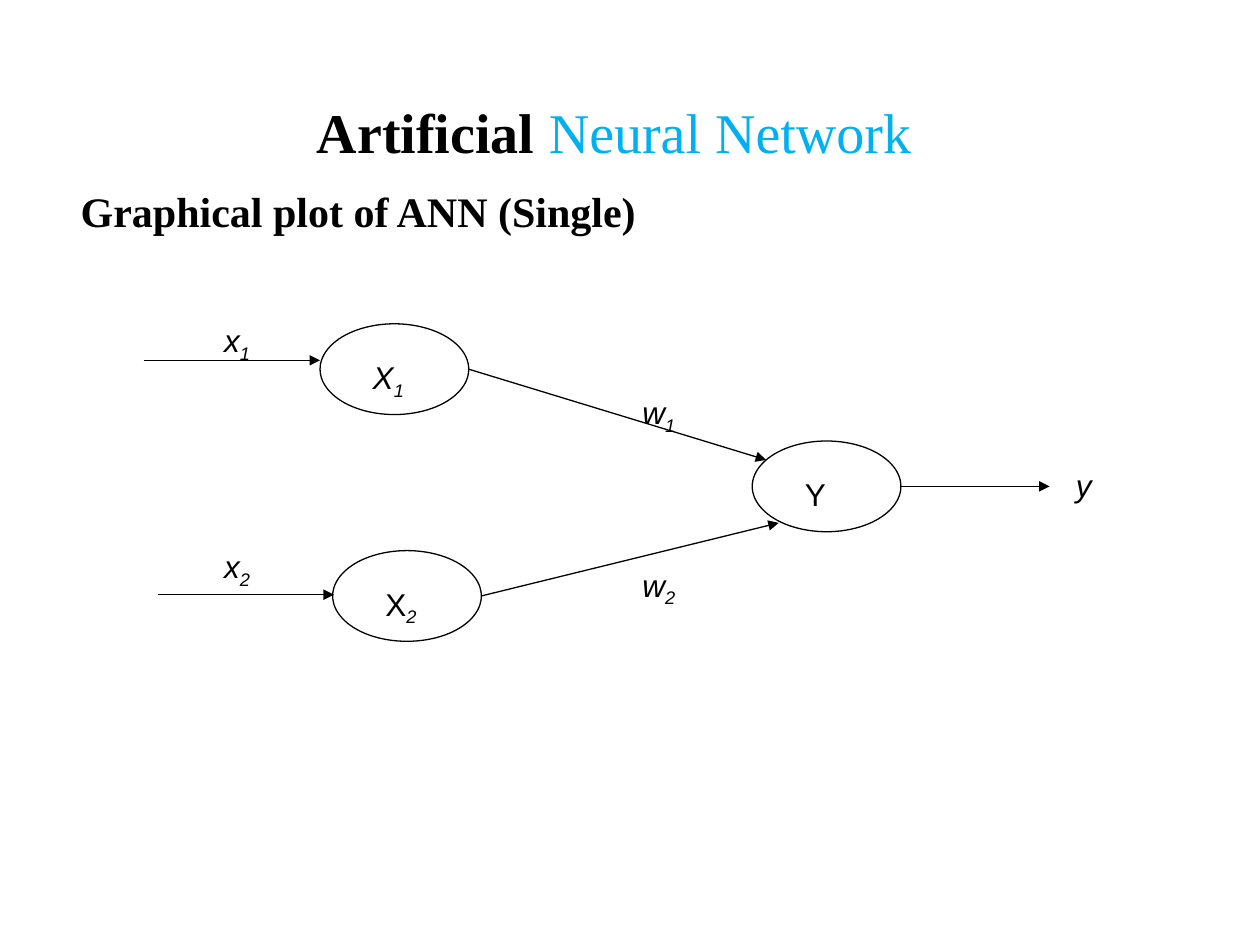
from dataclasses import dataclass

from lxml.etree import SubElement
from pptx import Presentation
from pptx.dml.color import RGBColor
from pptx.enum.shapes import MSO_CONNECTOR as Connector, MSO_SHAPE as Shape
from pptx.enum.text import MSO_ANCHOR as Anchor, PP_ALIGN as Align
from pptx.oxml.ns import qn
from pptx.util import Inches, Pt


@dataclass(frozen=True)
class Theme:
    ink: RGBColor = RGBColor(0, 0, 0)
    accent: RGBColor = RGBColor(0x00, 0xB0, 0xF0)
    heading_font: str = "Times New Roman"
    label_font: str = "Arial"
    title_size: int = 32
    subtitle_size: int = 24
    label_size: int = 18
    line_width: float = 0.75


NODE_WIDTH, NODE_HEIGHT = 11.8, 7.2


class NetworkPage:
    """Places elements on a grid of 100 columns by 75 rows."""

    columns, rows = 100, 75

    def __init__(self, deck, theme):
        self.theme = theme
        self.page = deck.slides.add_slide(deck.slide_layouts[0])
        self.column = deck.slide_width / self.columns
        self.row = deck.slide_height / self.rows

    def grid(self, *lengths):
        """Turn alternating column and row counts into slide lengths."""
        units = (self.column, self.row)
        return [round(length * units[i % 2]) for i, length in enumerate(lengths)]

    def style(self, span, font, size, color=None, bold=False, italic=False):
        span.font.name, span.font.size = font, Pt(size)
        span.font.bold, span.font.italic = bold, italic
        span.font.color.rgb = color or self.theme.ink

    def heading(self, box, area, parts, size, align, anchor):
        """Fill a placeholder with (text, colour, bold) parts."""
        box.left, box.top, box.width, box.height = self.grid(*area)
        box.text_frame.vertical_anchor = anchor
        para = box.text_frame.paragraphs[0]
        para.alignment = align
        for text, color, bold in parts:
            span = para.add_run()
            span.text = text
            self.style(span, self.theme.heading_font, size, color, bold)

    def outline(self, line):
        line.color.rgb = self.theme.ink
        line.width = Pt(self.theme.line_width)

    def node(self, left, top):
        oval = self.page.shapes.add_shape(
            Shape.OVAL, *self.grid(left, top, NODE_WIDTH, NODE_HEIGHT))
        oval.shadow.inherit = False
        oval.fill.background()
        self.outline(oval.line)

    def arrow(self, start, end):
        arrow = self.page.shapes.add_connector(
            Connector.STRAIGHT, *self.grid(*start, *end))
        self.outline(arrow.line)
        SubElement(arrow.line._get_or_add_ln(), qn("a:tailEnd"), type="triangle")
        SubElement(arrow._element.spPr, qn("a:effectLst"))

    def label(self, left, top, width, letter, index="", italic=True):
        """Write a letter with an optional italic subscript."""
        box = self.page.shapes.add_textbox(*self.grid(left, top, width, 3))
        box.text_frame.word_wrap = True
        para = box.text_frame.paragraphs[0]
        for text, slanted in ((letter, italic), (index, True)):
            if text:
                span = para.add_run()
                span.text = text
                self.style(span, self.theme.label_font, self.theme.label_size,
                           italic=slanted)
        if index:
            span.font._element.set("baseline", "-25000")


def right_of(node):
    left, top = node
    return left + NODE_WIDTH, top + NODE_HEIGHT / 2


def main():
    deck = Presentation()
    deck.slide_width, deck.slide_height = Inches(10), Inches(7.5)
    theme = Theme()
    network = NetworkPage(deck, theme)
    title, subtitle = network.page.placeholders

    network.heading(title, (10, 5, 77.5, 10.8),
                    [("Artificial ", theme.ink, True),
                     ("Neural Network", theme.accent, False)],
                    theme.title_size, Align.CENTER, Anchor.MIDDLE)
    network.heading(subtitle, (5.4, 14.2, 86.7, 50),
                    [("Graphical plot of ANN (Single)", theme.ink, True)],
                    theme.subtitle_size, Align.JUSTIFY, Anchor.TOP)

    first, second, output = (25.4, 25.7), (26.4, 43.7), (59.7, 35)
    for node in (first, second, output):
        network.node(*node)

    output_end = right_of(output)
    for start, end in (
        ((11.4, 28.6), (25.4, 28.6)),
        ((12.5, 47.2), (26.5, 47.2)),
        (output_end, (83.3, output_end[1])),
        (right_of(first), (60.8, 36.5)),
        (right_of(second), (61.8, 41.5)),
    ):
        network.arrow(start, end)

    for index, input_top, weight_top in (("1", 25, 30.7), ("2", 42.9, 44.4)):
        network.label(16.8, input_top, 7.5, "x", index)
        network.label(50, weight_top, 7.5, "w", index)
    for (left, top), letter, index, italic in (
        (first, "X", "1", True),
        (second, "X", "2", False),
        (output, "Y", "", False),
    ):
        network.label(left + 3.2, top + 2.2, 5.2, letter, index, italic)
    network.label(84.4, 36.5, 6.4, "y")

    deck.save("out.pptx")


if __name__ == "__main__":
    main()
